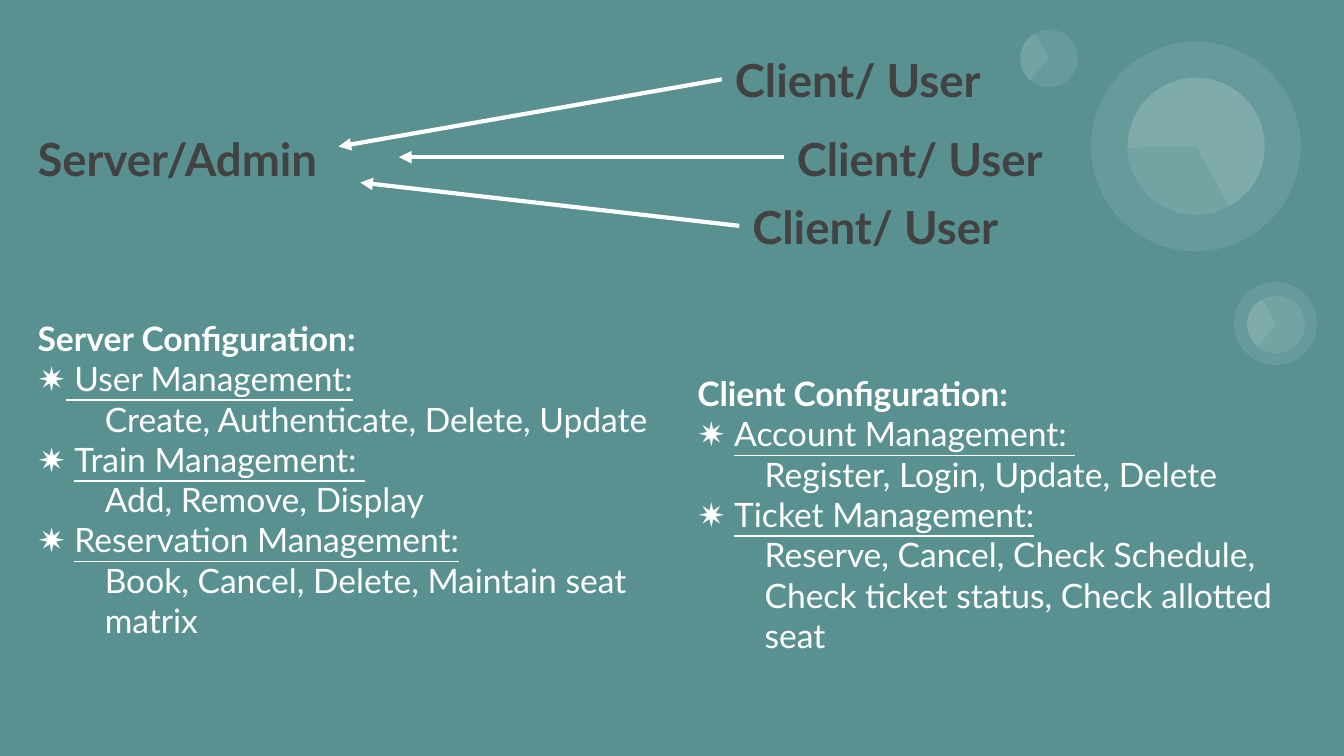
from lxml import etree
from pptx import Presentation
from pptx import util as u
from pptx.dml.color import RGBColor
from pptx.enum import shapes, text
from pptx.oxml.ns import qn

COLOURS = {"background": "599191", "heading": "424242", "light": "FFFFFF"}
FONT = "Lato"
BULLET = "\u2737"
INDENT = 1.27


def colour(name):
    """Return the named colour of the slide."""
    return RGBColor.from_string(COLOURS[name])


def place(shape, left, top, width, height):
    """Move and size a shape, in centimetres."""
    shape.left, shape.top = u.Cm(left), u.Cm(top)
    shape.width, shape.height = u.Cm(width), u.Cm(height)


def prepare_frame(frame):
    """Give a text frame equal insets, wrapping and middle anchoring."""
    frame.word_wrap = True
    frame.auto_size = text.MSO_AUTO_SIZE.NONE
    frame.vertical_anchor = text.MSO_ANCHOR.MIDDLE
    for side in ("left", "right", "top", "bottom"):
        setattr(frame, f"margin_{side}", u.Cm(0.25))


def add_text(paragraph, content, size=18, name="light", bold=False, underline=False):
    """Add one formatted run to a paragraph."""
    run = paragraph.add_run()
    run.text = content
    font = run.font
    font.name, font.size = FONT, u.Pt(size)
    font.bold, font.underline = bold, underline
    font.color.rgb = colour(name)


def format_paragraph(paragraph, indent=0):
    """Align a paragraph left, without template bullet or spacing."""
    paragraph.alignment = text.PP_ALIGN.LEFT
    paragraph.space_before = paragraph.space_after = u.Pt(0)
    paragraph.line_spacing = 1.0
    properties = paragraph._p.get_or_add_pPr()
    properties.set("marL", str(u.Cm(indent)))
    properties.set("indent", "0")
    etree.SubElement(properties, qn("a:buNone"))


def add_heading(shape, content, box):
    """Fill a shape with one large dark label."""
    place(shape, *box)
    prepare_frame(shape.text_frame)
    paragraph = shape.text_frame.paragraphs[0]
    format_paragraph(paragraph)
    add_text(paragraph, content, size=24.4, name="heading", bold=True)


def add_configuration(shape, heading, topics, box):
    """Fill a body placeholder with a heading and its topics."""
    place(shape, *box)
    frame = shape.text_frame
    prepare_frame(frame)
    format_paragraph(frame.paragraphs[0])
    add_text(frame.paragraphs[0], heading, bold=True)
    for mark, topic, after, details in topics:
        paragraph = frame.add_paragraph()
        format_paragraph(paragraph)
        add_text(paragraph, mark)
        add_text(paragraph, topic, underline=True)
        if after:
            add_text(paragraph, after)
        paragraph = frame.add_paragraph()
        format_paragraph(paragraph, INDENT)
        add_text(paragraph, details)


def add_arrow(slide, start, end):
    """Draw a white line with an arrowhead at its end."""
    arrow = slide.shapes.add_connector(
        shapes.MSO_CONNECTOR.STRAIGHT, *(u.Cm(value) for value in start + end))
    arrow.line.color.rgb = colour("light")
    arrow.line.width = u.Pt(2.25)
    line = arrow.line._get_or_add_ln()
    etree.SubElement(line, qn("a:tailEnd"), type="triangle")
    etree.SubElement(arrow._element.spPr, qn("a:effectLst"))


def add_disc(slide, left, top, diameter, rotation, wedge=None):
    """Draw a faint circle, or a pie when wedge adjustments are given."""
    kind = shapes.MSO_SHAPE.PIE if wedge else shapes.MSO_SHAPE.OVAL
    disc = slide.shapes.add_shape(
        kind, u.Cm(left), u.Cm(top), u.Cm(diameter), u.Cm(diameter))
    disc.rotation = rotation
    disc.shadow.inherit = False
    disc.line.fill.background()
    disc.fill.solid()
    disc.fill.fore_color.rgb = colour("light")
    solid = disc._element.spPr.find(qn("a:solidFill"))
    etree.SubElement(solid[0], qn("a:alpha"), val="9000")
    for index, value in enumerate(wedge or ()):
        disc.adjustments[index] = value


def add_dial(slide, left, top, diameter, rotation, wedge):
    """Draw a circle with a pie of the same size over it."""
    add_disc(slide, left, top, diameter, rotation)
    add_disc(slide, left, top, diameter, rotation, wedge)


def main():
    """Build the client and server slide."""
    presentation = Presentation()
    presentation.slide_width, presentation.slide_height = u.Cm(25.4), u.Cm(14.29)
    slide = presentation.slides.add_slide(presentation.slide_layouts[3])
    slide.background.fill.solid()
    slide.background.fill.fore_color.rgb = colour("background")

    large_wedge, small_wedge = (193.77, 123.14), (57, 123.14)
    add_dial(slide, 21.31, 1.47, 2.59, 215.9, large_wedge)
    add_disc(slide, 20.62, 0.79, 3.96, 215.8)
    add_disc(slide, 23.32, 5.33, 1.57, 35.9)
    for left, top in ((23.57, 5.59), (19.28, 0.56)):
        add_dial(slide, left, top, 1.09, 35.8, small_wedge)

    title, server, client = slide.placeholders
    add_heading(title, "Server/Admin", (0.46, 2.26, 7.09, 1.45))
    clients = (
        ((13.64, 0.3, 7.21, 2.39), (13.64, 1.5), (6.4, 2.77)),
        ((14.81, 2.26, 7.21, 1.45), (14.81, 2.97), (7.54, 2.97)),
        ((13.97, 3.56, 7.09, 1.45), (13.97, 4.27), (6.81, 3.45)),
    )
    for box, start, end in clients:
        label = slide.shapes.add_textbox(0, 0, 0, 0)
        add_heading(label, "Client/ User", box)
        add_arrow(slide, start, end)

    spaced = BULLET + " "
    add_configuration(server, "Server Configuration:", (
        (BULLET, " User Management:", " ", "Create, Authenticate, Delete, Update"),
        (spaced, "Train Management: ", "", "Add, Remove, Display"),
        (spaced, "Reservation Management:", " ",
         "Book, Cancel, Delete, Maintain seat matrix"),
    ), (0.46, 4.98, 12.24, 8.15))
    add_configuration(client, "Client Configuration:", (
        (spaced, "Account Management: ", "", "Register, Login, Update, Delete"),
        (spaced, "Ticket Management:", " ",
         "Reserve, Cancel, Check Schedule, Check ticket status, "
         "Check allotted seat"),
    ), (12.93, 5.64, 11.56, 8.15))
    presentation.save("out.pptx")


main()
